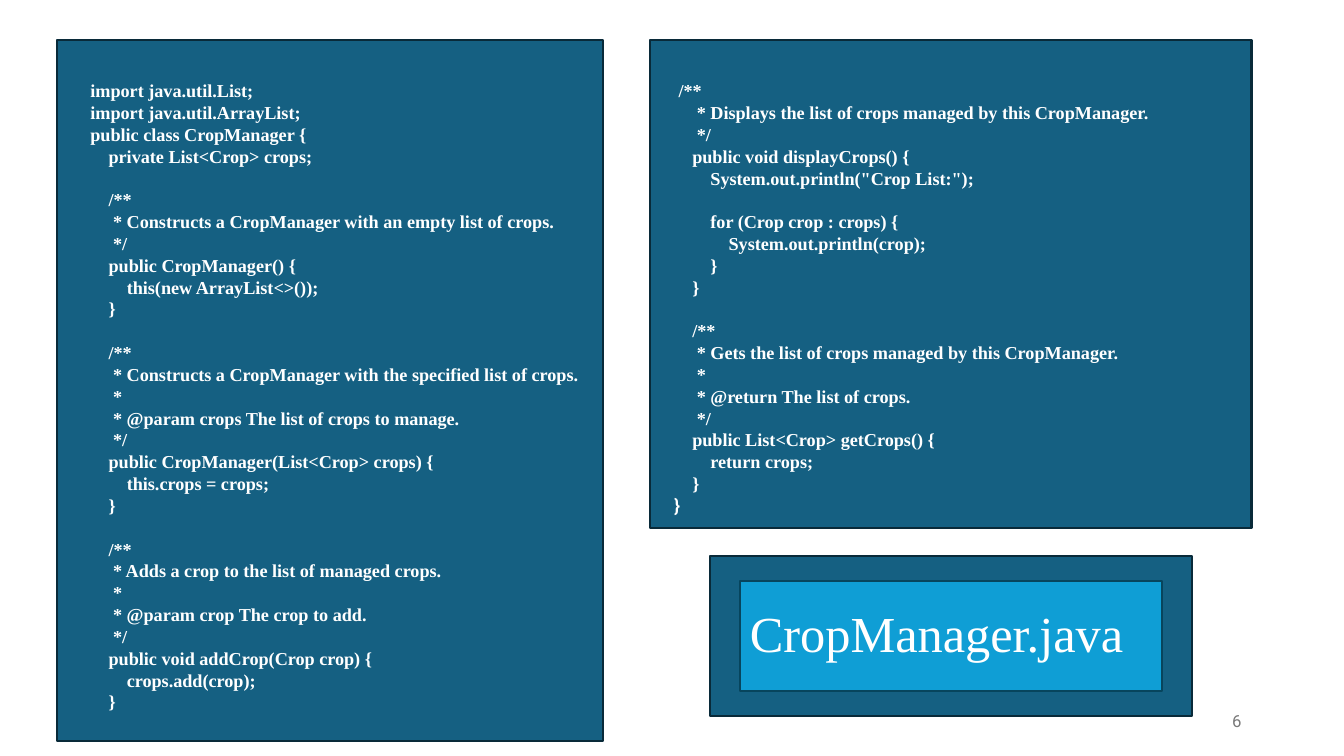
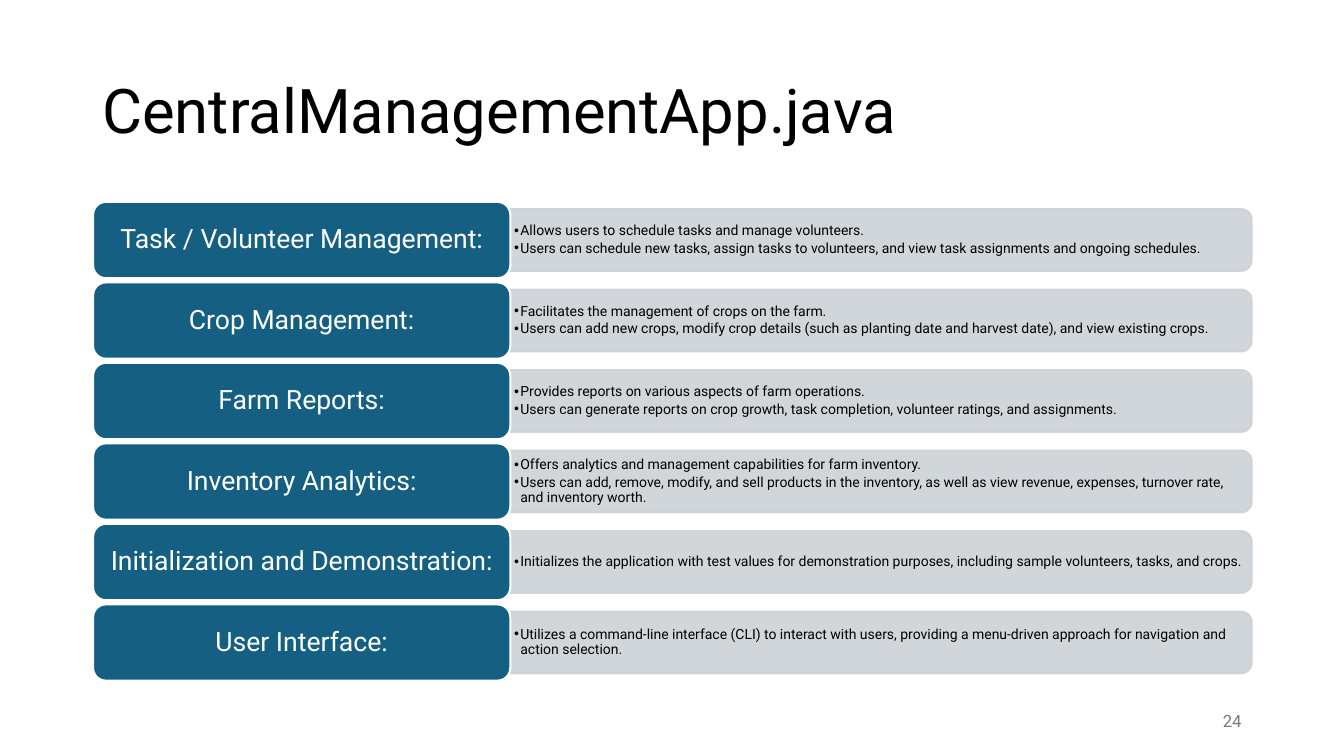
from dataclasses import dataclass

from lxml import etree
from pptx import Presentation
from pptx.dml.color import RGBColor
from pptx.enum.shapes import MSO_SHAPE
from pptx.enum.text import MSO_ANCHOR, PP_ALIGN
from pptx.oxml.ns import qn
from pptx.util import Pt

RECT, ROUND_RECT = MSO_SHAPE.RECTANGLE, MSO_SHAPE.ROUNDED_RECTANGLE
ROUND_TOP = MSO_SHAPE.ROUND_2_SAME_RECTANGLE
TOP, MIDDLE = MSO_ANCHOR.TOP, MSO_ANCHOR.MIDDLE
LEFT, CENTER, RIGHT = PP_ALIGN.LEFT, PP_ALIGN.CENTER, PP_ALIGN.RIGHT


@dataclass(frozen=True)
class Theme:
    panel: str = "156082"
    panel_edge: str = "092A39"
    badge: str = "0F9ED5"
    badge_edge: str = "07455D"
    bar: str = "CCD2D8"
    white: str = "FFFFFF"
    black: str = "000000"
    muted: str = "797979"
    sans: str = "Roboto"
    serif: str = "Times New Roman"
    title: float = 44
    badge_title: float = 36
    label: float = 19
    code: float = 13
    footer: float = 12
    bullet: float = 10
    code_line: float = 15.6
    outline: float = 1.5


T = Theme()

CONSTRUCTORS = """\
import java.util.List;
import java.util.ArrayList;
public class CropManager {
    private List<Crop> crops;

    /**
     * Constructs a CropManager with an empty list of crops.
     */
    public CropManager() {
        this(new ArrayList<>());
    }

    /**
     * Constructs a CropManager with the specified list of crops.
     *
     * @param crops The list of crops to manage.
     */
    public CropManager(List<Crop> crops) {
        this.crops = crops;
    }
"""

ADD_CROP = """
    /**
     * Adds a crop to the list of managed crops.
     *
     * @param crop The crop to add.
     */
    public void addCrop(Crop crop) {
        crops.add(crop);
    }
"""

ACCESSORS = """\
 /**
     * Displays the list of crops managed by this CropManager.
     */
    public void displayCrops() {
        System.out.println("Crop List:");

        for (Crop crop : crops) {
            System.out.println(crop);
        }
    }

    /**
     * Gets the list of crops managed by this CropManager.
     *
     * @return The list of crops.
     */
    public List<Crop> getCrops() {
        return crops;
    }
}"""

FEATURES = [
    ("Task / Volunteer Management:",
     ["Allows users to schedule tasks and manage volunteers.",
      "Users can schedule new tasks, assign tasks to volunteers, and view task "
      "assignments and ongoing schedules."]),
    ("Crop Management:",
     ["Facilitates the management of crops on the farm.",
      "Users can add new crops, modify crop details (such as planting date and "
      "harvest date), and view existing crops."]),
    ("Farm Reports:",
     ["Provides reports on various aspects of farm operations.",
      "Users can generate reports on crop growth, task completion, volunteer "
      "ratings, and assignments."]),
    ("Inventory Analytics:",
     ["Offers analytics and management capabilities for farm inventory.",
      "Users can add, remove, modify, and sell products in the inventory, as well "
      "as view revenue, expenses, turnover rate, and inventory worth."]),
    ("Initialization and Demonstration:",
     ["Initializes the application with test values for demonstration purposes, "
      "including sample volunteers, tasks, and crops."]),
    ("User Interface:",
     ["Utilizes a command-line interface (CLI) to interact with users, providing a "
      "menu-driven approach for navigation and action selection."]),
]


def add_box(slide, box, kind, fill, line):
    """Filled, outlined preset shape without shadow."""
    sp = slide.shapes.add_shape(kind, *map(Pt, box))
    sp.shadow.inherit = False
    sp.fill.solid()
    sp.fill.fore_color.rgb = RGBColor.from_string(fill)
    sp.line.color.rgb = RGBColor.from_string(line)
    sp.line.width = Pt(T.outline)
    return sp


def add_textbox(slide, box):
    return slide.shapes.add_textbox(*map(Pt, box))


def setup_frame(sp, anchor=MIDDLE, inset=(7.2, 3.6)):
    tf = sp.text_frame
    tf.word_wrap = True
    tf.vertical_anchor = anchor
    tf.margin_left = tf.margin_right = Pt(inset[0])
    tf.margin_top = tf.margin_bottom = Pt(inset[1])
    return tf


def add_text(tf, text, size, color, font=T.sans, bold=False, align=LEFT, spacing=None,
             before=0, after=0, indent=0, bullet=None):
    """Write one paragraph, filling the empty first one before adding more."""
    p = tf.paragraphs[0] if not tf.paragraphs[0].runs else tf.add_paragraph()
    p.alignment = align
    p.space_before, p.space_after = Pt(before), Pt(after)
    if spacing:
        p.line_spacing = spacing
    pPr = p._p.get_or_add_pPr()
    pPr.set("marL", str(Pt(indent)))
    pPr.set("indent", str(-Pt(indent) if bullet else 0))
    if bullet:
        etree.SubElement(pPr, qn("a:buFont")).set("typeface", "Arial")
        etree.SubElement(pPr, qn("a:buChar")).set("char", bullet)
    r = p.add_run()
    r.text = text
    r.font.size, r.font.name, r.font.bold = Pt(size), font, bold
    r.font.color.rgb = RGBColor.from_string(color)


def set_opacity(sp, percent):
    for clr in sp._element.spPr.iter(qn("a:srgbClr")):
        etree.SubElement(clr, qn("a:alpha")).set("val", str(percent * 1000))


def add_page_number(slide, number):
    tf = setup_frame(add_textbox(slide, (678, 500.5, 216, 28.8)))
    add_text(tf, str(number), T.footer, T.muted, align=RIGHT)


def add_code(slide, box, lines):
    """Two-column listing: leading spaces become indents, empty lines become gaps."""
    tf = setup_frame(add_textbox(slide, box), anchor=TOP)
    body = tf._txBody.bodyPr
    body.set("numCol", "2")
    body.set("spcCol", "0")
    space = T.code / 4
    gap = 0
    for line in lines:
        text = line.lstrip()
        if not text:
            gap = T.code_line
            continue
        font = T.sans if line == "}" else T.serif
        add_text(tf, text, T.code, T.white, font=font, bold=True, before=gap,
                 spacing=Pt(T.code_line), indent=space * (len(line) - len(text)))
        gap = 0


def add_badge(slide, box, text):
    """Framed file name."""
    x, y, w, h = box
    pad_x, pad_y = 21.5, 18
    add_box(slide, box, RECT, T.panel, T.panel_edge)
    inner = (x + pad_x, y + pad_y, w - 2 * pad_x, h - 2 * pad_y)
    sp = add_box(slide, inner, RECT, T.badge, T.badge_edge)
    add_text(setup_frame(sp), text, T.badge_title, T.white, font=T.serif, spacing=0.9)


def add_feature(slide, box, label, points):
    """Label on the left, bar with bullets on the right."""
    x, y, w, h = box
    label_w, bar_h = 298, 44
    bar_x, bar_w, mid = x + label_w, w - label_w, y + h / 2

    # Bar, turned so that its round corners face right
    bar = add_box(slide, (bar_x + (bar_w - bar_h) / 2, mid - bar_w / 2, bar_h, bar_w),
                  ROUND_TOP, T.bar, T.bar)
    bar.rotation = 90
    set_opacity(bar, 90)

    # Bullets
    tf = setup_frame(add_textbox(slide, (bar_x, mid - 20, bar_w - 2, 40)),
                     inset=(2.7, 1.35))
    for point in points:
        add_text(tf, point, T.bullet, T.black, spacing=0.9, after=1.5,
                 indent=4.5, bullet="•")

    # Label
    sp = add_box(slide, (x, y, label_w, h), ROUND_RECT, T.panel, T.white)
    add_text(setup_frame(sp, inset=(8, 5)), label, T.label, T.white,
             align=CENTER, spacing=0.9)


def code_slide(slide, number):
    add_box(slide, (40.5, 28.8, 390, 500.5), RECT, T.panel, T.panel_edge)
    add_box(slide, (464.5, 28.8, 429.5, 348.5), RECT, T.panel, T.panel_edge)
    add_page_number(slide, number)
    lines = [line for part in (CONSTRUCTORS, ADD_CROP, ACCESSORS)
             for line in part.splitlines()]
    add_code(slide, (57.5, 53.3, 848, 468), lines)
    add_badge(slide, (507, 397, 344.5, 114.5), "CropManager.java")


def feature_slide(slide, number):
    x, y, w, h, pitch = 66.5, 144.2, 827.5, 54.5, 57.5
    tf = setup_frame(add_textbox(slide, (66, 28.8, 828, 104.4)))
    add_text(tf, "CentralManagementApp.java", T.title, T.black, spacing=0.9)
    for i, (label, points) in enumerate(FEATURES):
        add_feature(slide, (x, y + i * pitch, w, h), label, points)
    add_page_number(slide, number)


def main():
    prs = Presentation()
    prs.slide_width, prs.slide_height = Pt(960), Pt(540)
    for build, number in ((code_slide, 6), (feature_slide, 24)):
        build(prs.slides.add_slide(prs.slide_layouts[6]), number)
    prs.save("out.pptx")


if __name__ == "__main__":
    main()
